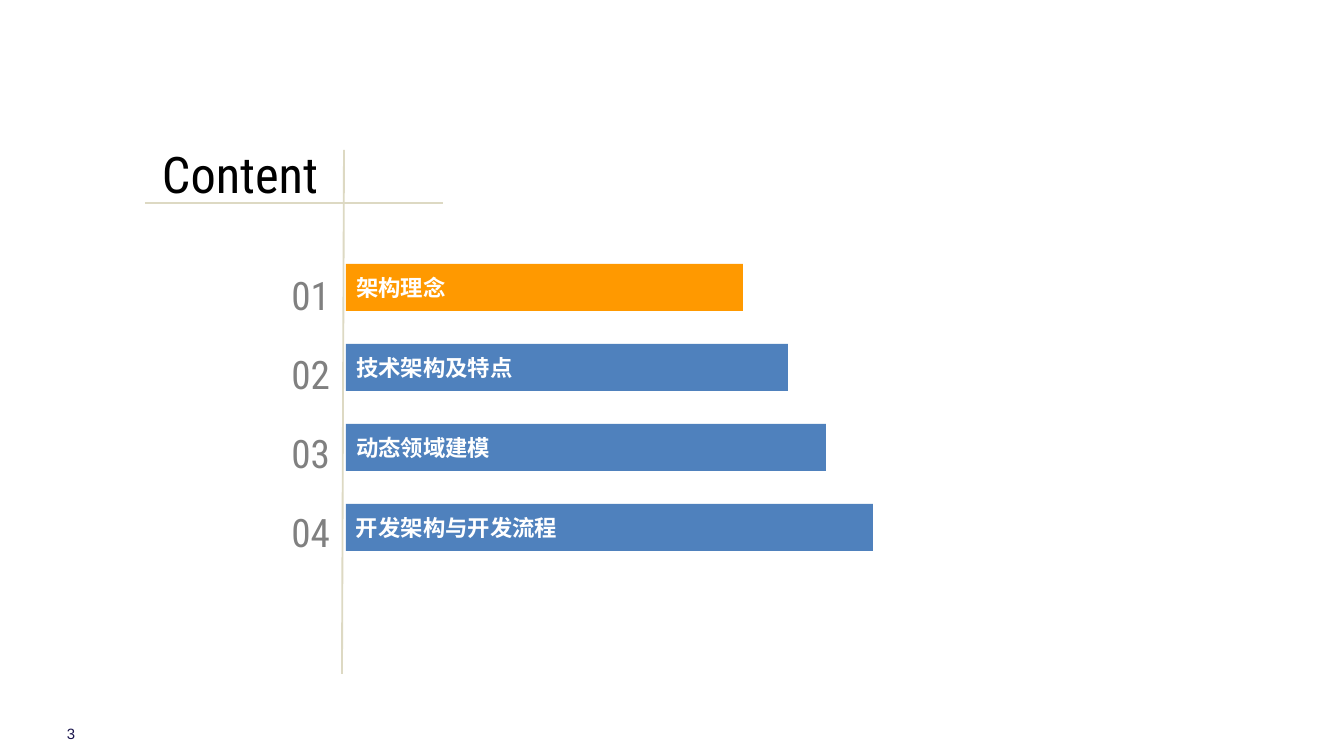
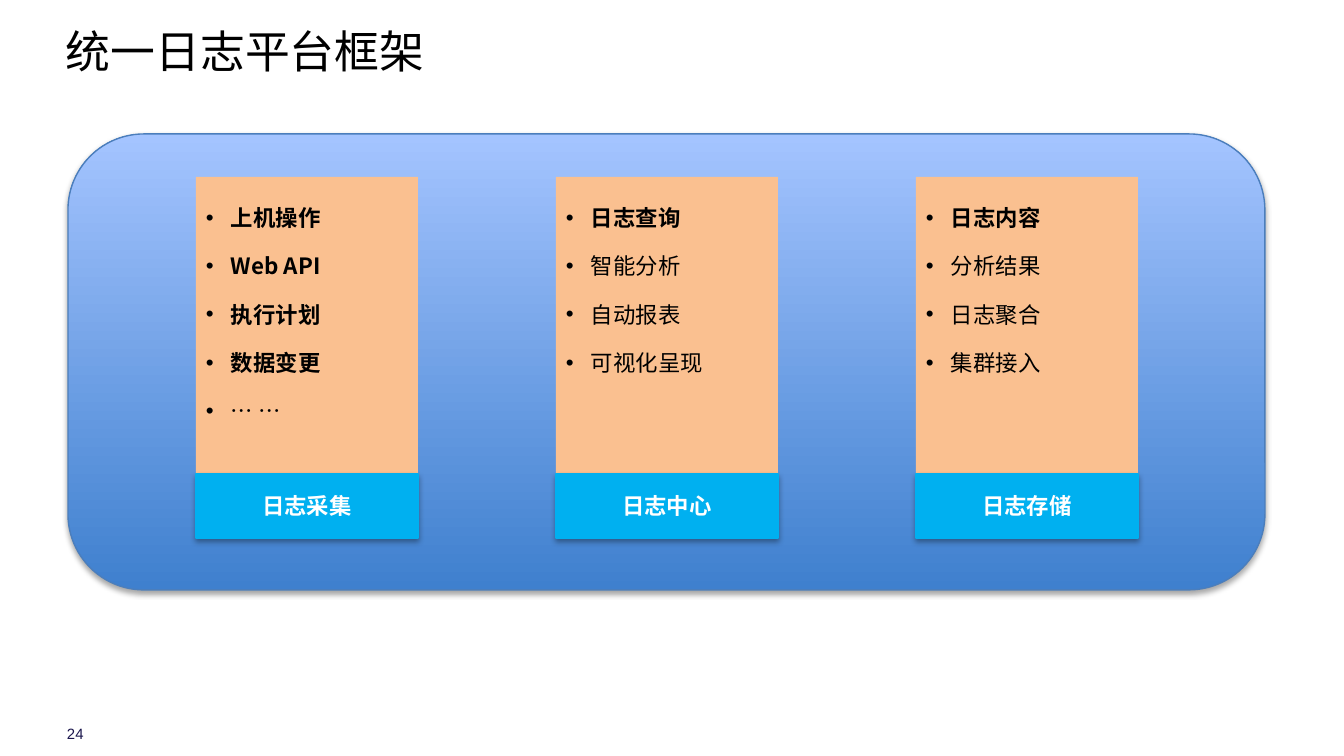
from lxml.etree import SubElement
from pptx import Presentation
from pptx.dml.color import RGBColor
from pptx.enum.shapes import MSO_CONNECTOR, MSO_SHAPE
from pptx.enum.text import MSO_ANCHOR, PP_ALIGN
from pptx.oxml.ns import qn
from pptx.util import Emu, Pt

PX_PER_INCH = 134.4
WHITE = RGBColor(0xFF, 0xFF, 0xFF)
BLACK = RGBColor(0x00, 0x00, 0x00)
GREY = RGBColor(0x80, 0x80, 0x80)
NAVY = RGBColor(0x1A, 0x15, 0x4C)
BEIGE = RGBColor(0xDD, 0xD9, 0xC3)
ORANGE = RGBColor(0xFF, 0x99, 0x00)
BLUE = RGBColor(0x4F, 0x81, 0xBD)
PEACH = RGBColor(0xFA, 0xC0, 0x90)
CYAN = RGBColor(0x00, 0xB0, 0xF0)
PANEL_BOTTOM = RGBColor(0x3F, 0x80, 0xCE)
PANEL_TOP = RGBColor(0xA4, 0xC4, 0xFF)
PANEL_EDGE = RGBColor(0x4B, 0x7E, 0xBC)

ARIAL = "Arial"
NOTO = "Noto Sans CJK SC"
ROBOTO = "Roboto Condensed"

CHAPTERS = [("架构理念", 397), ("技术架构及特点", 442),
            ("动态领域建模", 480), ("开发架构与开发流程", 527)]
LOG_MODULES = [
    ("日志采集", ["上机操作", "Web API", "执行计划", "数据变更", "… …"], 4),
    ("日志中心", ["日志查询", "智能分析", "自动报表", "可视化呈现"], 1),
    ("日志存储", ["日志内容", "分析结果", "日志聚合", "集群接入"], 1),
]


def px(length):
    return Emu(round(length * 914400 / PX_PER_INCH))


def format_runs(paragraph, size, face, color, bold=False):
    for run in paragraph.runs:
        run.font.size = Pt(size)
        run.font.name = face
        run.font.bold = bold
        run.font.color.rgb = color
        east_asian = SubElement(run.font._element, qn("a:ea"))
        east_asian.set("typeface", NOTO)


def set_frame(frame, inset_x, inset_y, anchor=MSO_ANCHOR.TOP):
    frame.word_wrap = True
    frame.vertical_anchor = anchor
    frame.margin_left = frame.margin_right = px(inset_x)
    frame.margin_top = frame.margin_bottom = px(inset_y)


def write_line(frame, words, size, face, color, bold=False,
               align=PP_ALIGN.LEFT, spacing=1.0):
    frame.text = words
    line = frame.paragraphs[0]
    line.alignment = align
    line.line_spacing = spacing
    format_runs(line, size, face, color, bold)


def add_label(slide, box, words, size, face, color, inset=(13, 7),
              anchor=MSO_ANCHOR.TOP, **style):
    frame = slide.shapes.add_textbox(*map(px, box)).text_frame
    set_frame(frame, *inset, anchor)
    write_line(frame, words, size, face, color, **style)


def add_block(slide, box, color=None, preset=MSO_SHAPE.RECTANGLE):
    block = slide.shapes.add_shape(preset, *map(px, box))
    block.shadow.inherit = False
    block.line.fill.background()
    if color is not None:
        block.fill.solid()
        block.fill.fore_color.rgb = color
    return block


def add_edge_and_shadow(block, edge):
    block.line.color.rgb = edge
    block.line.width = Pt(0.75)
    effects = block._element.spPr.find(qn("a:effectLst"))
    shadow = SubElement(effects, qn("a:outerShdw"), blurRad=str(Pt(3.1)),
                        dist=str(Pt(1.8)), dir="5400000", rotWithShape="0")
    tint = SubElement(shadow, qn("a:srgbClr"), val="000000")
    SubElement(tint, qn("a:alpha"), val="35000")


def add_rule(slide, *ends):
    rule = slide.shapes.add_connector(MSO_CONNECTOR.STRAIGHT, *map(px, ends))
    rule.line.color.rgb = BEIGE
    rule.line.width = Pt(1)
    SubElement(rule._element.spPr, qn("a:effectLst"))


def add_page_number(slide, number):
    add_label(slide, (67, 724, 34, 19), number, 8, ARIAL, NAVY,
              inset=(0, 0), anchor=MSO_ANCHOR.MIDDLE)


def add_heading(slide, left, top):
    add_label(slide, (left + 4, top - 14, 274, 59), "Content", 27, ROBOTO, BLACK)
    add_rule(slide, left + 199, top, left + 197, top + 524)
    add_rule(slide, left, top + 53, left + 298, top + 53)


def add_chapters(slide, left, top):
    for index, (chapter, width) in enumerate(CHAPTERS):
        add_label(slide, (left, top + 79 * index, 78, 71), f"{index + 1:02}",
                  21, ROBOTO, GREY, align=PP_ALIGN.RIGHT, spacing=1.2)
        bar = add_block(slide, (left + 81, top + 9 + 80 * index, width, 47),
                        BLUE if index else ORANGE)
        set_frame(bar.text_frame, 10, 5, MSO_ANCHOR.MIDDLE)
        write_line(bar.text_frame, chapter, 12, ARIAL, WHITE, bold=True)


def add_bullets(frame, items, bold_count):
    set_frame(frame, 10, 27)
    frame.margin_bottom = px(5)
    frame.text = "\n".join(items)
    for index, bullet in enumerate(frame.paragraphs):
        bullet.alignment = PP_ALIGN.LEFT
        if index:
            bullet.space_before = Pt(11.5)
        properties = bullet._p.get_or_add_pPr()
        properties.set("marL", str(px(25)))
        properties.set("indent", str(-px(25)))
        SubElement(properties, qn("a:buFont"), typeface=ARIAL)
        SubElement(properties, qn("a:buChar"), char="•")
        format_runs(bullet, 12, NOTO, BLACK, index < bold_count)


def add_log_module(slide, left, top, name, items, bold_count):
    card = add_block(slide, (left, top, 222, 309), PEACH)
    add_bullets(card.text_frame, items, bold_count)
    base = add_block(slide, (left, top + 297, 222, 64), CYAN)
    add_edge_and_shadow(base, CYAN)
    set_frame(base.text_frame, 13, 7, MSO_ANCHOR.MIDDLE)
    write_line(base.text_frame, name, 12, NOTO, WHITE, bold=True,
               align=PP_ALIGN.CENTER)


def add_platform(slide, left, top, width, height):
    panel = add_block(slide, (left, top, width, height),
                      preset=MSO_SHAPE.ROUNDED_RECTANGLE)
    panel.fill.gradient()
    panel.fill.gradient_angle = 90
    for stop, color in zip(panel.fill.gradient_stops, (PANEL_BOTTOM, PANEL_TOP)):
        stop.color.rgb = color
    add_edge_and_shadow(panel, PANEL_EDGE)
    for index, module in enumerate(LOG_MODULES):
        add_log_module(slide, left + 128 + 360 * index, top + 43, *module)


def build_contents(slide):
    add_page_number(slide, "3")
    add_heading(slide, 145, 150)
    add_chapters(slide, 265, 255)


def build_log_platform(slide):
    add_page_number(slide, "24")
    add_label(slide, (66, 31, 1235, 77), "统一日志平台框架", 24, NOTO, BLACK,
              inset=(0, 0), spacing=0.88)
    add_platform(slide, 68, 134, 1197, 456)


def main():
    deck = Presentation()
    deck.slide_width = px(1344)
    deck.slide_height = px(756)
    for build in (build_contents, build_log_platform):
        build(deck.slides.add_slide(deck.slide_layouts[6]))
    deck.save("out.pptx")


if __name__ == "__main__":
    main()
